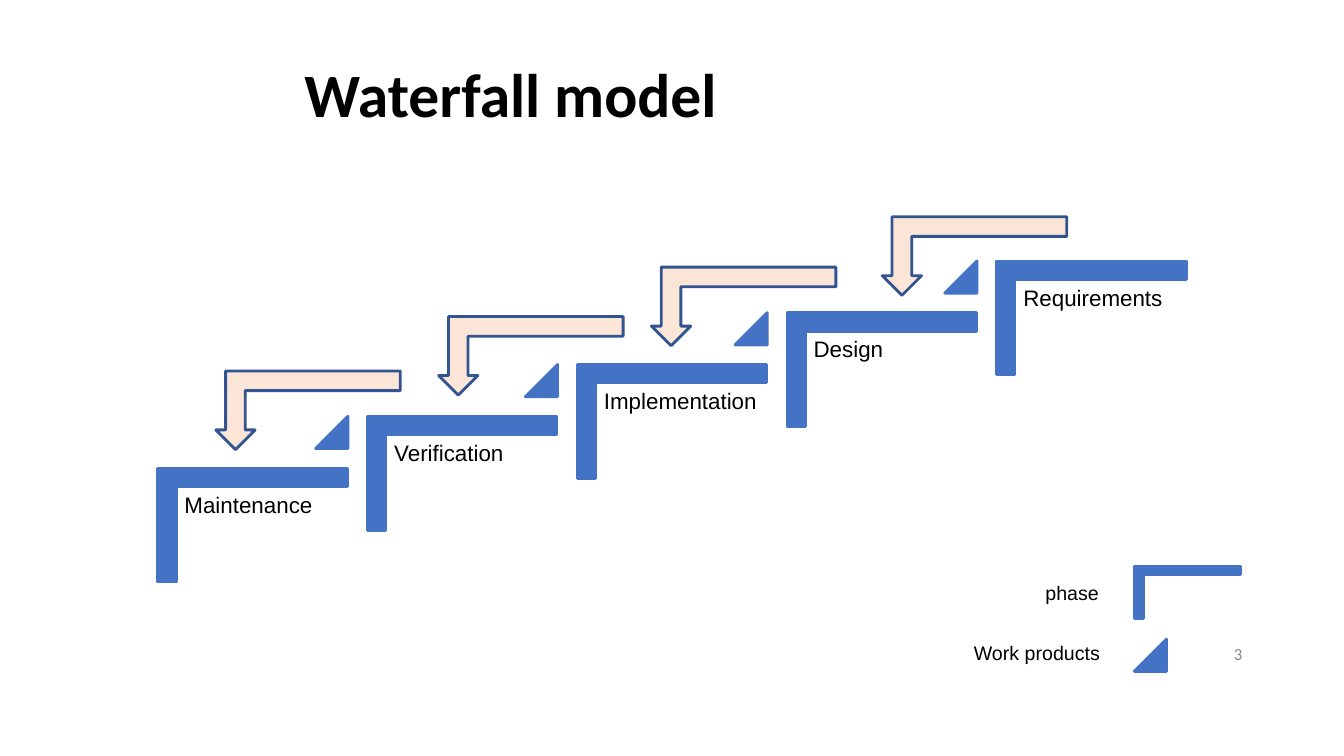
from dataclasses import dataclass

import pptx
import pptx.dml.color
import pptx.enum.shapes
import pptx.enum.text
import pptx.util

Inches = pptx.util.Inches
RGBColor = pptx.dml.color.RGBColor
MSO_SHAPE = pptx.enum.shapes.MSO_SHAPE
MSO_ANCHOR = pptx.enum.text.MSO_ANCHOR
PP_ALIGN = pptx.enum.text.PP_ALIGN

BLACK = RGBColor(0x00, 0x00, 0x00)
GRAY = RGBColor(0x88, 0x88, 0x88)
BLUE = RGBColor(0x44, 0x72, 0xC4)
NAVY = RGBColor(0x32, 0x54, 0x91)
PEACH = RGBColor(0xFB, 0xE5, 0xD6)

STEP_X = 2.08
STEP_Y = -0.514
BAR_RATIO = 0.161


@dataclass
class Box:
    left: float
    top: float
    width: float
    height: float

    def emu(self) -> list[int]:
        return [Inches(v) for v in (self.left, self.top, self.width, self.height)]


@dataclass
class Phase:
    name: str
    index: int

    def box(self, left: float, top: float, width: float, height: float) -> Box:
        return Box(left + self.index * STEP_X, top + self.index * STEP_Y, width, height)


PHASES = [Phase(name, i) for i, name in enumerate(
    ["Maintenance", "Verification", "Implementation", "Design", "Requirements"])]
ARROWS = [Box(left, top, 1.83, 0.78) for left, top in
          [(8.75, 2.15), (6.46, 2.65), (4.35, 3.14), (2.14, 3.68)]]


def add_text(s, box: Box, text: str, *, size: float, font: str = "Arial",
             color: RGBColor = BLACK, bold: bool = False, align=PP_ALIGN.LEFT,
             anchor=MSO_ANCHOR.TOP, wrap: bool = True, spacing: float = 1.0,
             inset_x: float = 0.1, inset_y: float = 0.05) -> None:
    tf = s.shapes.add_textbox(*box.emu()).text_frame
    tf.word_wrap = wrap
    tf.vertical_anchor = anchor
    tf.margin_left = tf.margin_right = Inches(inset_x)
    tf.margin_top = tf.margin_bottom = Inches(inset_y)
    p = tf.paragraphs[0]
    p.alignment = align
    p.line_spacing = spacing
    r = p.add_run()
    r.text = text
    r.font.size = pptx.util.Pt(size)
    r.font.name = font
    r.font.bold = bold
    r.font.color.rgb = color


def add_shape(s, kind, box: Box, *, fill: RGBColor = BLUE, line: RGBColor = BLUE,
              rotation: float = 0, adjustments: tuple[float, ...] = ()) -> None:
    sp = s.shapes.add_shape(kind, *box.emu())
    sp.shadow.inherit = False
    sp.rotation = rotation
    for i, value in enumerate(adjustments):
        sp.adjustments[i] = value
    sp.fill.solid()
    sp.fill.fore_color.rgb = fill
    sp.line.color.rgb = line
    sp.line.width = pptx.util.Pt(2)


def add_corner(s, box: Box) -> None:
    add_shape(s, MSO_SHAPE.CORNER, box, rotation=90, adjustments=(BAR_RATIO, BAR_RATIO))


def add_work_product(s, left: float, top: float) -> None:
    add_shape(s, MSO_SHAPE.ISOSCELES_TRIANGLE, Box(left, top, 0.32, 0.32), adjustments=(1,))


def add_phase(s, phase: Phase) -> None:
    add_corner(s, phase.box(1.94, 4.27, 1.13, 1.88))
    add_text(s, phase.box(1.76, 4.83, 1.7, 1.49), phase.name, size=16, spacing=0.9,
             inset_x=0.07, inset_y=0.07)
    if phase is not PHASES[-1]:
        product = phase.box(3.13, 4.13, 0.32, 0.32)
        add_work_product(s, product.left, product.top)


def add_legend(s) -> None:
    add_corner(s, Box(11.52, 5.35, 0.52, 1.05))
    add_work_product(s, 11.25, 6.34)
    add_text(s, Box(10.27, 5.71, 0.73, 0.34), "phase", size=14, wrap=False)
    add_text(s, Box(9.56, 6.31, 1.46, 0.34), "Work products", size=14, wrap=False)


def main() -> None:
    prs = pptx.Presentation()
    prs.slide_width = Inches(13.33)
    prs.slide_height = Inches(7.5)
    s = prs.slides.add_slide(prs.slide_layouts[6])

    add_text(s, Box(2.92, 0.24, 10.33, 1.45), "Waterfall model", size=44, font="Calibri",
             bold=True, anchor=MSO_ANCHOR.MIDDLE, spacing=0.9)
    add_text(s, Box(9.42, 6.29, 3, 0.4), "3", size=12, font="Calibri", color=GRAY,
             align=PP_ALIGN.RIGHT, anchor=MSO_ANCHOR.MIDDLE)
    for phase in PHASES:
        add_phase(s, phase)
    for box in ARROWS:
        add_shape(s, MSO_SHAPE.BENT_UP_ARROW, box, fill=PEACH, line=NAVY, rotation=180)
    add_legend(s)

    prs.save("out.pptx")


if __name__ == "__main__":
    main()
